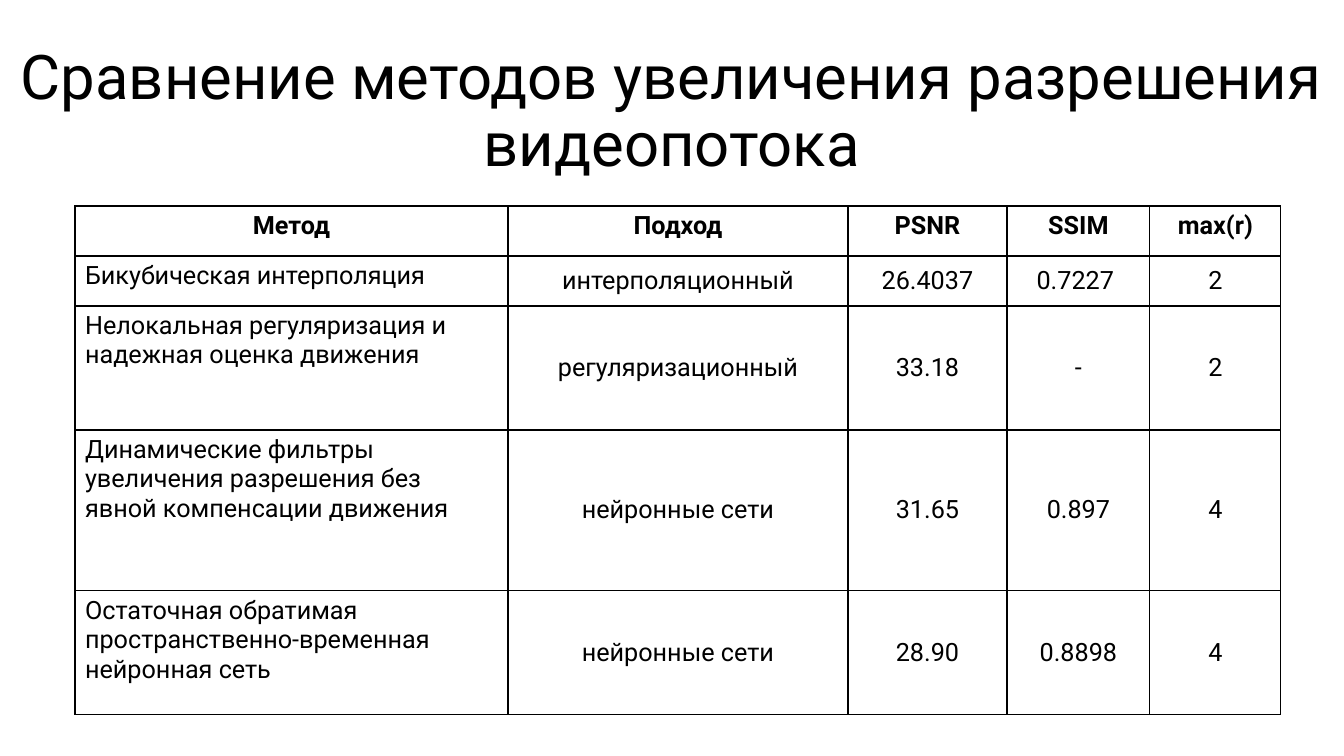
import pptx
import pptx.dml.color
import pptx.enum.text
import pptx.oxml.ns
import pptx.util
from lxml import etree

TITLE = "Сравнение методов увеличения разрешения видеопотока"
HEADER = ("Метод", "Подход", "PSNR", "SSIM", "max(r)")
METHODS = [
    ("Бикубическая интерполяция", "интерполяционный", "26.4037", "0.7227 ", "2"),
    ("Нелокальная регуляризация и надежная оценка движения",
     "регуляризационный", "33.18", "-", "2"),
    ("Динамические фильтры увеличения разрешения без явной компенсации движения",
     "нейронные сети", "31.65", "0.897", "4"),
    ("Остаточная обратимая пространственно-временная нейронная сеть",
     "нейронные сети", "28.90", "0.8898", "4"),
]

# Lengths in px
SLIDE_SIZE = (1344, 756)
TITLE_BOX = (0, 40, 1344, 146)
TABLE_LEFT, TABLE_TOP = 75, 206
COLUMN_WIDTHS = (433, 340, 159, 143, 131)
ROW_HEIGHTS = (50, 50, 124, 161, 124)

FONT = "Roboto"
BLACK, WHITE = "000000", "FFFFFF"
ALIGN = pptx.enum.text.PP_ALIGN
ANCHOR = pptx.enum.text.MSO_ANCHOR


def px(length):
    return pptx.util.Emu(round(length * 914400 / 100.8))


def color(value):
    return pptx.dml.color.RGBColor.from_string(value)


def write(frame, text, size, align, bold=False):
    paragraph = frame.paragraphs[0]
    paragraph.alignment = align
    run = paragraph.add_run()
    run.text = text
    run.font.name = FONT
    run.font.size = pptx.util.Pt(size)
    run.font.bold = bold
    run.font.color.rgb = color(BLACK)
    return paragraph


def add_borders(cell):
    properties = cell._tc.get_or_add_tcPr()
    qn = pptx.oxml.ns.qn
    for side in ("a:lnL", "a:lnR", "a:lnT", "a:lnB"):
        border = etree.SubElement(properties, qn(side), w=str(pptx.util.Pt(1)))
        fill = etree.SubElement(border, qn("a:solidFill"))
        etree.SubElement(fill, qn("a:srgbClr"), val=BLACK)


def add_title(slide):
    frame = slide.shapes.add_textbox(*map(px, TITLE_BOX)).text_frame
    frame.word_wrap = True
    frame.vertical_anchor = ANCHOR.MIDDLE
    write(frame, TITLE, 44, ALIGN.CENTER).line_spacing = 0.9


def add_comparison(slide):
    rows = [HEADER] + METHODS
    comparison = slide.shapes.add_table(
        len(rows), len(HEADER), px(TABLE_LEFT), px(TABLE_TOP),
        px(sum(COLUMN_WIDTHS)), px(sum(ROW_HEIGHTS))).table
    for column, width in zip(comparison.columns, COLUMN_WIDTHS):
        column.width = px(width)
    for row, height in zip(comparison.rows, ROW_HEIGHTS):
        row.height = px(height)

    # Headings and method names sit at the top, all other values in the middle
    for r, values in enumerate(rows):
        for c, value in enumerate(values):
            cell = comparison.cell(r, c)
            is_header, is_method = r == 0, r > 0 and c == 0
            top = is_header or is_method
            cell.vertical_anchor = ANCHOR.TOP if top else ANCHOR.MIDDLE
            add_borders(cell)
            cell.fill.solid()
            cell.fill.fore_color.rgb = color(WHITE)
            align = ALIGN.LEFT if is_method else ALIGN.CENTER
            write(cell.text_frame, value, 18, align, is_header)


def main():
    deck = pptx.Presentation()
    deck.slide_width, deck.slide_height = map(px, SLIDE_SIZE)
    slide = deck.slides.add_slide(deck.slide_layouts[6])
    add_title(slide)
    add_comparison(slide)
    deck.save("out.pptx")


if __name__ == "__main__":
    main()
